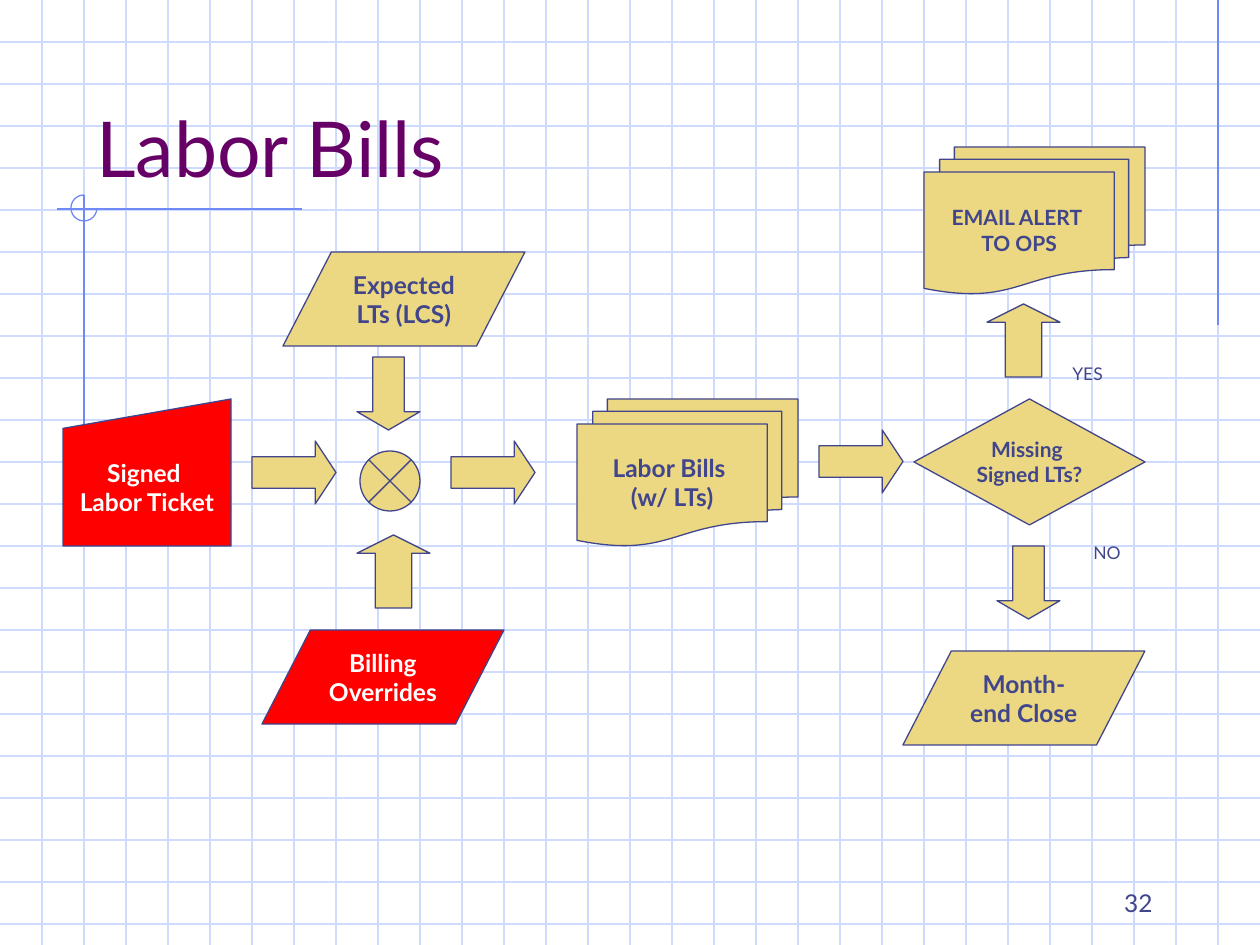
from dataclasses import dataclass

from lxml.etree import SubElement
from pptx import Presentation
from pptx.dml.color import RGBColor as RGB
from pptx.enum.shapes import MSO_CONNECTOR as Link, MSO_SHAPE as Kind
from pptx.enum.text import MSO_ANCHOR as Anchor, PP_ALIGN as Align
from pptx.oxml.ns import qn
from pptx.util import Emu, Pt

WIDE, HIGH, STEP = 1260, 945, 42


@dataclass(frozen=True)
class Theme:
    """Hold the colours, font and type sizes of the slide."""
    grid: str = "CFDBFD"
    rule: str = "6F89F7"
    title: str = "660066"
    ink: str = "40458C"
    sand: str = "ECD882"
    red: str = "FF0000"
    white: str = "FFFFFF"
    font: str = "Lato"
    huge: int = 44
    body: int = 14
    small: int = 12
    tiny: int = 10
    line: float = 0.75


LOOK = Theme()


def px(*sizes):
    """Turn pixel lengths into EMU."""
    return [Emu(round(size * 914400 / 126)) for size in sizes]


def tint(hue):
    """Give the colour for a hex value."""
    return RGB.from_string(hue)


def write(shape, text, size=LOOK.body, hue=LOOK.ink, bold=False,
          align=Align.LEFT, anchor=Anchor.TOP, wrap=True):
    """Put formatted text in a shape, one paragraph for each line."""
    frame = shape.text_frame
    frame.text = text
    frame.word_wrap = wrap
    frame.vertical_anchor = anchor
    for para in frame.paragraphs:
        para.alignment = align
        font = para.runs[0].font
        font.name, font.size, font.bold = LOOK.font, Pt(size), bold
        font.color.rgb = tint(hue)


def label(slide, text, box, **form):
    """Add a text box."""
    write(slide.shapes.add_textbox(*px(*box)), text, **form)


def rule(slide, ends, hue):
    """Add a thin straight line."""
    line = slide.shapes.add_connector(Link.STRAIGHT, *px(*ends))
    line.line.color.rgb = tint(hue)
    line.line.width = Pt(LOOK.line)
    SubElement(line._element.spPr, qn("a:effectLst"))


def figure(slide, kind, box, fill=LOOK.sand, edge=LOOK.ink):
    """Add an outlined preset shape."""
    shape = slide.shapes.add_shape(kind, *px(*box))
    shape.shadow.inherit = False
    if fill:
        shape.fill.solid()
        shape.fill.fore_color.rgb = tint(fill)
    else:
        shape.fill.background()
    shape.line.color.rgb = tint(edge)
    shape.line.width = Pt(LOOK.line)
    return shape


def node(slide, kind, box, text, fill=LOOK.sand, size=LOOK.body, wrap=False):
    """Add a flowchart step with centred bold text."""
    hue = LOOK.white if fill == LOOK.red else LOOK.ink
    write(figure(slide, kind, box, fill), text, size=size, hue=hue, bold=True,
          align=Align.CENTER, anchor=Anchor.MIDDLE, wrap=wrap)


def data(slide, left, top, text, fill=LOOK.sand):
    """Add a slanted data step."""
    node(slide, Kind.FLOWCHART_DATA, (left, top, 242, 94), text, fill, wrap=True)


def arrow(slide, kind, left, top):
    """Add a block arrow in the size of its direction."""
    wide, high, head = {
        Kind.RIGHT_ARROW: (84, 63, 0.33),
        Kind.UP_ARROW: (73, 73, 0.25),
        Kind.DOWN_ARROW: (63, 73, 0.29),
    }[kind]
    figure(slide, kind, (left, top, wide, high)).adjustments[1] = head


def back(slide):
    """Draw the grid and the corner ornament."""
    for y in range(STEP, HIGH, STEP):
        rule(slide, (0, y, WIDE, y), LOOK.grid)
    for x in range(STEP, WIDE, STEP):
        rule(slide, (x, 0, x, HIGH), LOOK.grid)
    for ends in ((1218, 0, 1218, 325), (302, 209, 57, 209), (84, 195, 84, 515)):
        rule(slide, ends, LOOK.rule)
    arc = figure(slide, Kind.ARC, (71, 195, 26, 26), None, LOOK.rule)
    arc.adjustments[0], arc.adjustments[1] = 0, 162


def flow(slide):
    """Draw the steps and arrows of the billing flow."""
    multi = Kind.FLOWCHART_MULTIDOCUMENT
    for left, top in ((252, 441), (451, 441), (819, 430)):
        arrow(slide, Kind.RIGHT_ARROW, left, top)
    for left, top in ((357, 535), (987, 304)):
        arrow(slide, Kind.UP_ARROW, left, top)
    for left, top in ((357, 357), (997, 546)):
        arrow(slide, Kind.DOWN_ARROW, left, top)
    figure(slide, Kind.FLOWCHART_SUMMING_JUNCTION, (360, 451, 60, 60))
    data(slide, 283, 252, "Expected LTs (LCS)")
    data(slide, 262, 630, "Billing Overrides", LOOK.red)
    data(slide, 903, 651, "Month-end Close")
    node(slide, Kind.FLOWCHART_MANUAL_INPUT, (63, 399, 168, 147),
         "Signed \nLabor Ticket", LOOK.red)
    node(slide, multi, (577, 399, 221, 147), "Labor Bills \n(w/ LTs)")
    node(slide, multi, (924, 147, 221, 147), "EMAIL ALERT \nTO OPS", size=LOOK.small)
    node(slide, Kind.FLOWCHART_DECISION, (914, 399, 231, 126),
         "Missing \nSigned LTs?", size=LOOK.small)
    label(slide, "YES", (1060, 357, 63, 34), size=LOOK.tiny)
    label(slide, "NO", (1081, 536, 63, 34), size=LOOK.tiny)


def main():
    """Build and save the slide."""
    deck = Presentation()
    deck.slide_width, deck.slide_height = px(WIDE, HIGH)
    slide = deck.slides.add_slide(deck.slide_layouts[6])
    back(slide)
    label(slide, "Labor Bills", (84, 42, 1071, 157), size=LOOK.huge,
          hue=LOOK.title, anchor=Anchor.BOTTOM)
    flow(slide)
    label(slide, "32", (903, 861, 262, 63), align=Align.RIGHT, anchor=Anchor.BOTTOM)
    deck.save("out.pptx")


if __name__ == "__main__":
    main()
